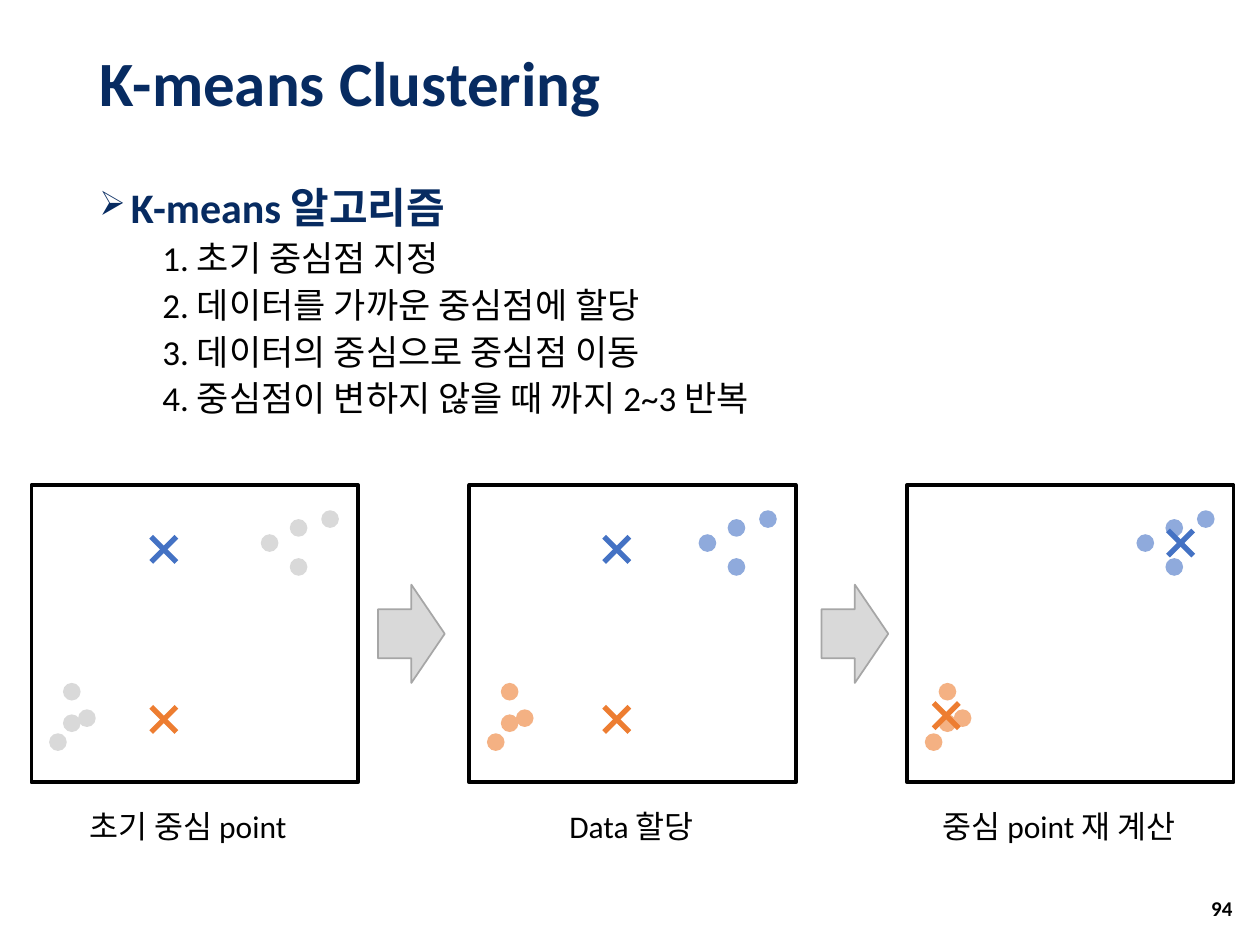
import lxml.etree
import pptx
import pptx.dml.color
import pptx.enum.shapes
import pptx.enum.text
import pptx.oxml.ns
import pptx.util

Inches = pptx.util.Inches
Pt = pptx.util.Pt
RGBColor = pptx.dml.color.RGBColor
Shape = pptx.enum.shapes.MSO_SHAPE
Align = pptx.enum.text.PP_ALIGN
Anchor = pptx.enum.text.MSO_ANCHOR
qn = pptx.oxml.ns.qn

NAVY = RGBColor(0x07, 0x2B, 0x61)
BLACK = RGBColor(0, 0, 0)
GRAY = RGBColor(0xD9, 0xD9, 0xD9)
ARROW_EDGE = RGBColor(0xA6, 0xA6, 0xA6)
BLUE = RGBColor(0x44, 0x72, 0xC4)
LIGHT_BLUE = RGBColor(0x8F, 0xAA, 0xDC)
ORANGE = RGBColor(0xED, 0x7D, 0x31)
LIGHT_ORANGE = RGBColor(0xF4, 0xB1, 0x83)

PANEL_TOP, PANEL_WIDTH, PANEL_HEIGHT = 3.85, 2.59, 2.36
PANEL_LEFTS = [0.25 + 3.475 * i for i in range(3)]
DOT_SIZE = 0.14
CROSS_SIZE = 0.2

# Dot corners measured from the panel's top left corner
LOWER_CLUSTER = [(0.14, 1.97), (0.25, 1.82), (0.37, 1.78), (0.25, 1.57)]
UPPER_CLUSTER = [(2.3, 0.2), (1.82, 0.39), (2.05, 0.58), (2.05, 0.27)]

# Lower dots, upper dots, blue centre, orange centre
STEPS = [
    (GRAY, GRAY, (1.05, 0.51), (1.05, 1.86)),
    (LIGHT_ORANGE, LIGHT_BLUE, (1.17, 0.51), (1.17, 1.86)),
    (LIGHT_ORANGE, LIGHT_BLUE, (2.17, 0.46), (0.31, 1.83)),
]
CAPTIONS = [
    ("초기 중심 point", 0.61, 1.9),
    ("Data 할당", 4.42, 1.24),
    ("중심 point 재 계산", 7.38, 2.25),
]
ALGORITHM = [
    "1. 초기 중심점 지정",
    "2. 데이터를 가까운 중심점에 할당",
    "3. 데이터의 중심으로 중심점 이동",
    "4. 중심점이 변하지 않을 때 까지 2~3 반복",
]


class SlideBuilder:
    font_name = "Calibri"

    def __init__(self, slide):
        self.slide = slide

    def style(self, paragraph, size, color=BLACK, bold=False):
        font = paragraph.font
        font.name = self.font_name
        font.size = Pt(size)
        font.bold = bold
        font.color.rgb = color

    def title(self, text, left, top, width, height):
        title = self.slide.shapes.title
        title.left, title.top = Inches(left), Inches(top)
        title.width, title.height = Inches(width), Inches(height)
        title.text_frame.text = text
        title.text_frame.vertical_anchor = Anchor.MIDDLE
        heading = title.text_frame.paragraphs[0]
        heading.alignment = Align.LEFT
        heading.line_spacing = 0.9
        self.style(heading, 36, NAVY, True)

    def text(self, text, left, top, width, height, size,
             bold=False, align=Align.LEFT, anchor=Anchor.TOP):
        box = self.slide.shapes.add_textbox(
            Inches(left), Inches(top), Inches(width), Inches(height))
        frame = box.text_frame
        frame.word_wrap = True
        frame.vertical_anchor = anchor
        frame.text = text
        frame.paragraphs[0].alignment = align
        self.style(frame.paragraphs[0], size, bold=bold)
        return frame

    def outline(self, heading, items, left, top, width, height):
        """Write an arrow-bulleted heading with indented items below it."""
        frame = self.text(heading, left, top, width, height, 24)
        first = frame.paragraphs[0]
        first.line_spacing = 0.9
        first.space_before = Pt(10)
        properties = first._p.get_or_add_pPr()
        properties.set("marL", str(Inches(0.25)))
        properties.set("indent", str(-Inches(0.25)))
        run_defaults = properties.find(qn("a:defRPr"))
        for tag, key, value in (("a:buSzPct", "val", "80000"),
                                ("a:buChar", "char", "➢")):
            bullet = lxml.etree.Element(qn(tag))
            bullet.set(key, value)
            run_defaults.addprevious(bullet)
        self.style(first, 24, NAVY, True)
        for item in items:
            step = frame.add_paragraph()
            step.text = item
            step.level = 1
            step.line_spacing = 0.9
            step.space_before = Pt(5)
            step._p.get_or_add_pPr().set("marL", str(Inches(0.5)))
            self.style(step, 20)

    def shape(self, kind, left, top, width, height,
              fill=None, line=None, line_width=1):
        shape = self.slide.shapes.add_shape(
            kind, Inches(left), Inches(top), Inches(width), Inches(height))
        shape.shadow.inherit = False
        if fill is None:
            shape.fill.background()
        else:
            shape.fill.solid()
            shape.fill.fore_color.rgb = fill
        if line is None:
            shape.line.fill.background()
        else:
            shape.line.color.rgb = line
            shape.line.width = Pt(line_width)

    def cross(self, center_x, center_y, color):
        """Mark a cluster centre with two grouped diagonal strokes."""
        group = self.slide.shapes.add_group_shape()
        half = CROSS_SIZE / 2
        for side in (half, -half):
            stroke = group.shapes.add_connector(
                pptx.enum.shapes.MSO_CONNECTOR.STRAIGHT,
                Inches(center_x + side), Inches(center_y - half),
                Inches(center_x - side), Inches(center_y + half))
            stroke.line.color.rgb = color
            stroke.line.width = Pt(3)
            lxml.etree.SubElement(stroke._element.spPr, qn("a:effectLst"))

    def panel(self, left, lower_color, upper_color, blue_center, orange_center):
        self.shape(Shape.RECTANGLE, left, PANEL_TOP, PANEL_WIDTH, PANEL_HEIGHT,
                   line=BLACK, line_width=2.25)
        for cluster, color in ((LOWER_CLUSTER, lower_color),
                               (UPPER_CLUSTER, upper_color)):
            for x, y in cluster:
                self.shape(Shape.OVAL, left + x, PANEL_TOP + y,
                           DOT_SIZE, DOT_SIZE, fill=color)
        for (x, y), color in ((blue_center, BLUE), (orange_center, ORANGE)):
            self.cross(left + x, PANEL_TOP + y, color)


def main():
    deck = pptx.Presentation()
    deck.slide_width, deck.slide_height = Inches(10), Inches(7.5)
    builder = SlideBuilder(deck.slides.add_slide(deck.slide_layouts[5]))

    builder.title("K-means Clustering", 0.69, 0.18, 8.62, 1.01)
    builder.outline("K-means 알고리즘", ALGORITHM, 0.69, 1.44, 8.62, 2.2)
    for left, step in zip(PANEL_LEFTS, STEPS):
        builder.panel(left, *step)
    for left in (3, 6.52):
        builder.shape(Shape.RIGHT_ARROW, left, 4.64, 0.53, 0.78,
                      fill=GRAY, line=ARROW_EDGE)
    for caption, left, width in CAPTIONS:
        builder.text(caption, left, 6.36, width, 0.4, 18)
    builder.text("94", 9.36, 7.01, 0.52, 0.4, 12, bold=True,
                 align=Align.RIGHT, anchor=Anchor.MIDDLE)
    deck.save("out.pptx")


if __name__ == "__main__":
    main()
